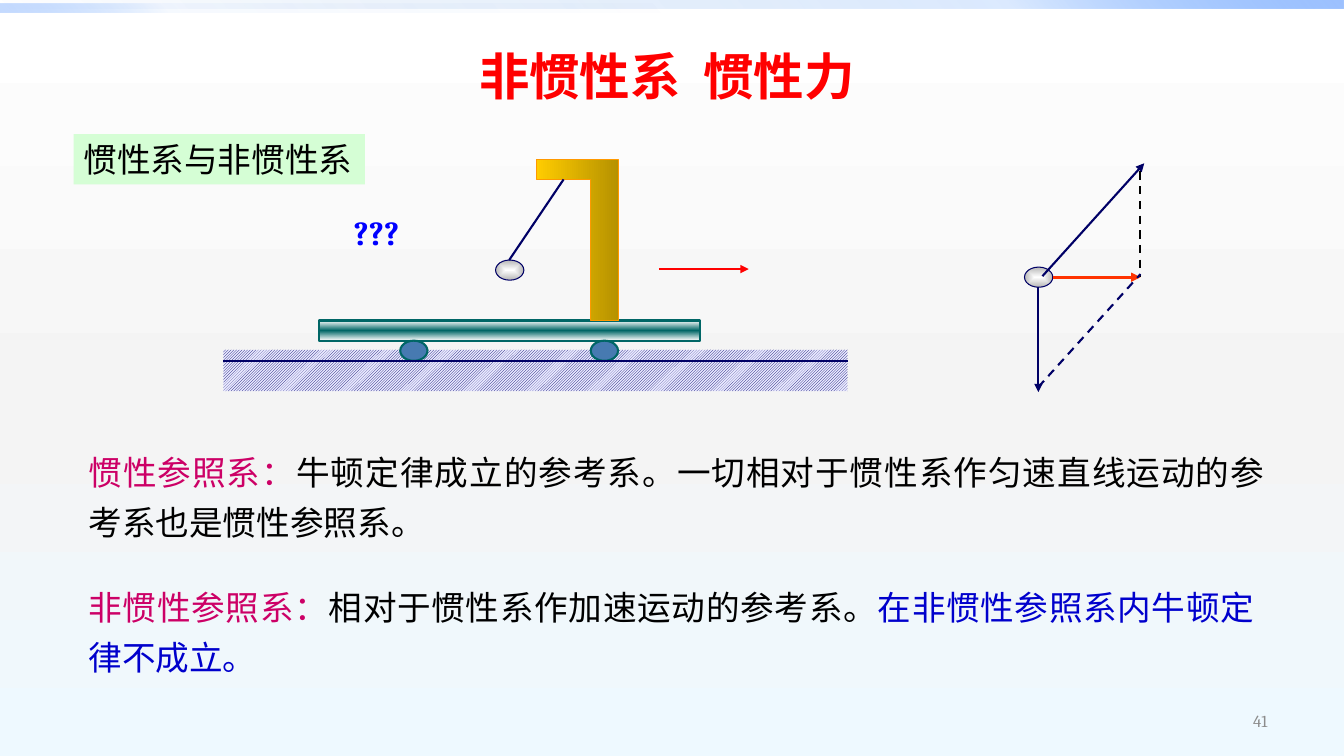
"""Build the slide on inertial and non-inertial frames with a cart and a force diagram."""
from lxml.etree import SubElement
from pptx import Presentation
from pptx.dml.color import RGBColor
from pptx.enum.dml import MSO_LINE, MSO_PATTERN
from pptx.enum.shapes import MSO_CONNECTOR, MSO_SHAPE
from pptx.enum.text import MSO_ANCHOR, MSO_AUTO_SIZE, PP_ALIGN
from pptx.oxml.ns import qn
from pptx.util import Inches, Pt

COLORS = {
    "white": "FFFFFF", "mist": "F4F4F4", "sky": "EEF9FF",
    "deep": "0058B7", "azure": "4F95FF", "pale": "9EC2FF",
    "navy": "000066", "lilac": "E9E9FF", "teal": "006666", "wheel": "477AB1",
    "gold": "FFCC00", "bronze": "B69200", "orange": "FF9900", "silver": "B6B6B6",
    "red": "FF0000", "scarlet": "FF3300", "black": "000000", "gray": "8C8C8C",
    "mint": "CCFFCC", "blue": "0000FF", "ink": "0000CC", "magenta": "CC0066",
}
RGB = {name: RGBColor.from_string(value) for name, value in COLORS.items()}

presentation = Presentation()
presentation.slide_width = Inches(13.33)
presentation.slide_height = Inches(7.5)
WIDTH_PERCENT = presentation.slide_width / 100
HEIGHT_PERCENT = presentation.slide_height / 100
GRID_LEFT, GRID_TOP = Inches(3.16), Inches(1.58)
COLUMN, ROW = Inches(0.27), Inches(0.2)


def grid(column, row):
    """Return the slide position of a point on the diagram grid."""
    return int(GRID_LEFT + column * COLUMN), int(GRID_TOP + row * ROW)


def paint_gradient(fill, element, stops, angle=None):
    """Fill with (position, color, opacity) stops, from the centre if no angle is given."""
    fill.gradient()
    gradient = element.find(".//" + qn("a:gradFill"))
    for child in list(gradient):
        gradient.remove(child)
    stop_list = SubElement(gradient, qn("a:gsLst"))
    for position, color, opacity in stops:
        stop = SubElement(stop_list, qn("a:gs"), pos=str(position * 1000))
        value = SubElement(stop, qn("a:srgbClr"), val=COLORS[color])
        if opacity < 100:
            SubElement(value, qn("a:alpha"), val=str(opacity * 1000))
    if angle is None:
        center = SubElement(gradient, qn("a:path"), path="shape")
        SubElement(center, qn("a:fillToRect"), l="50000", t="50000", r="50000", b="50000")
    else:
        SubElement(gradient, qn("a:lin"), ang=str(angle * 60000), scaled="0")


slide = presentation.slides.add_slide(presentation.slide_layouts[5])
paint_gradient(slide.background.fill, slide.element,
               [(0, "white", 100), (55, "mist", 100), (100, "sky", 100)], 90)

top_bars = [
    (0, 100, (0, 20, 100), 315),
    (0.53, 50, (0, 5, 60), 135),
]
for top, width, opacities, angle in top_bars:
    bar = slide.shapes.add_shape(MSO_SHAPE.RECTANGLE, 0, int(top * HEIGHT_PERCENT),
                                 int(width * WIDTH_PERCENT), int(1.07 * HEIGHT_PERCENT))
    bar.shadow.inherit = False
    bar.line.fill.background()
    paint_gradient(bar.fill, bar.element,
                   list(zip((0, 75, 100), ("deep", "azure", "pale"), opacities)), angle)

ground = slide.shapes.add_shape(MSO_SHAPE.RECTANGLE, *grid(-3.5, 9.45),
                                int(22.93 * COLUMN), int(2.05 * ROW))
ground.shadow.inherit = False
ground.line.fill.background()
ground.fill.patterned()
ground.fill.pattern = MSO_PATTERN.LIGHT_UPWARD_DIAGONAL
ground.fill.fore_color.rgb = RGB["navy"]
ground.fill.back_color.rgb = RGB["lilac"]

cart = slide.shapes.add_shape(MSO_SHAPE.RECTANGLE, *grid(0, 8), 14 * COLUMN, ROW)
cart.shadow.inherit = False
cart.line.color.rgb = RGB["teal"]
cart.line.width = Pt(1.5)
paint_gradient(cart.fill, cart.element,
               [(0, "white", 100), (50, "teal", 100), (100, "white", 100)], 90)

for column in (3, 10):
    wheel = slide.shapes.add_shape(MSO_SHAPE.OVAL, *grid(column, 9), COLUMN, ROW)
    wheel.shadow.inherit = False
    wheel.fill.solid()
    wheel.fill.fore_color.rgb = RGB["wheel"]
    wheel.line.color.rgb = RGB["teal"]
    wheel.line.width = Pt(1.5)

outline = slide.shapes.build_freeform(*grid(10, 8))
outline.add_line_segments([grid(*point) for point in [(10, 1), (8, 1), (8, 0), (11, 0), (11, 8)]],
                          close=True)
stand = outline.convert_to_shape()
stand.shadow.inherit = False
stand.line.color.rgb = RGB["orange"]
stand.line.width = Pt(0.75)
paint_gradient(stand.fill, stand.element, [(0, "gold", 100), (100, "bronze", 100)], 0)

for column, row in [(6.5, 5), (25.93, 5.35)]:
    ball = slide.shapes.add_shape(MSO_SHAPE.OVAL, *grid(column, row), int(1.04 * COLUMN), ROW)
    ball.shadow.inherit = False
    ball.line.color.rgb = RGB["navy"]
    ball.line.width = Pt(0.75)
    paint_gradient(ball.fill, ball.element, [(0, "white", 100), (100, "silver", 100)])

segments = [
    ((7, 5), (9, 1), "navy", 1.5, "plain"),
    ((-3.5, 10), (19.46, 10), "navy", 1.5, "plain"),
    ((12.5, 5.45), (15.8, 5.45), "red", 1.5, "arrow"),
    ((26.44, 6.35), (26.44, 11.55), "navy", 1.5, "arrow"),
    ((26.59, 5.8), (30.33, 0.2), "navy", 1.5, "arrow"),
    ((30.19, 0.6), (30.19, 5.85), "black", 1.5, "dash"),
    ((26.96, 5.85), (30.19, 5.85), "scarlet", 2.25, "arrow"),
    ((26.44, 11.3), (30.19, 5.7), "navy", 1.5, "dash"),
]
for start, end, color, width, style in segments:
    connector = slide.shapes.add_connector(MSO_CONNECTOR.STRAIGHT, *grid(*start), *grid(*end))
    connector.line.color.rgb = RGB[color]
    connector.line.width = Pt(width)
    properties = connector.element.spPr
    if style == "dash":
        connector.line.dash_style = MSO_LINE.DASH
    if style == "arrow":
        SubElement(properties.find(qn("a:ln")), qn("a:tailEnd"), type="triangle")
    SubElement(properties, qn("a:effectLst"))

texts = [
    ("title", (28.13, 5.33, 42.99, 9.47), 36, PP_ALIGN.CENTER, [("非惯性系  惯性力", "red")]),
    ("label", (5.48, 17.73, 21.68, 6.67), 24, PP_ALIGN.LEFT, [("惯性系与非惯性系", "black")]),
    ("question", (25.58, 27.33, 7.88, 6.8), 24, PP_ALIGN.LEFT, [("???", "blue")]),
    ("definition", (5.85, 57.73, 88.97, 14.67), 24, PP_ALIGN.JUSTIFY, [
        ("惯性参照系：", "magenta"),
        ("牛顿定律成立的参考系。一切相对于惯性系作匀速直线运动的参考系也是惯性参照系。", "black"),
    ]),
    ("definition", (5.85, 75.6, 88.22, 14.67), 24, PP_ALIGN.JUSTIFY, [
        ("非惯性参照系：", "magenta"),
        ("相对于惯性系作加速运动的参考系。", "black"),
        ("在非惯性参照系内牛顿定律不成立。", "ink"),
    ]),
    ("number", (71.72, 92.67, 23.33, 5.33), 12, PP_ALIGN.RIGHT, [("41", "gray")]),
]
for role, (left, top, width, height), size, alignment, runs in texts:
    box = slide.shapes.title if role == "title" else slide.shapes.add_textbox(0, 0, 0, 0)
    box.left, box.width = int(left * WIDTH_PERCENT), int(width * WIDTH_PERCENT)
    box.top, box.height = int(top * HEIGHT_PERCENT), int(height * HEIGHT_PERCENT)
    frame = box.text_frame
    frame.auto_size = MSO_AUTO_SIZE.NONE
    frame.word_wrap = role != "label"
    frame.vertical_anchor = MSO_ANCHOR.MIDDLE if role in ("label", "number") else MSO_ANCHOR.TOP
    paragraph = frame.paragraphs[0]
    paragraph.alignment = alignment
    if role == "definition":
        paragraph.line_spacing = 1.25
    if role == "label":
        box.fill.solid()
        box.fill.fore_color.rgb = RGB["mint"]
        SubElement(box.element.find(".//" + qn("a:srgbClr")), qn("a:alpha"), val="80000")
    for text, color in runs:
        run = paragraph.add_run()
        run.text = text
        run.font.name = "Cambria"
        run.font.size = Pt(size)
        run.font.bold = role in ("title", "question")
        run.font.color.rgb = RGB[color]

presentation.save("out.pptx")
